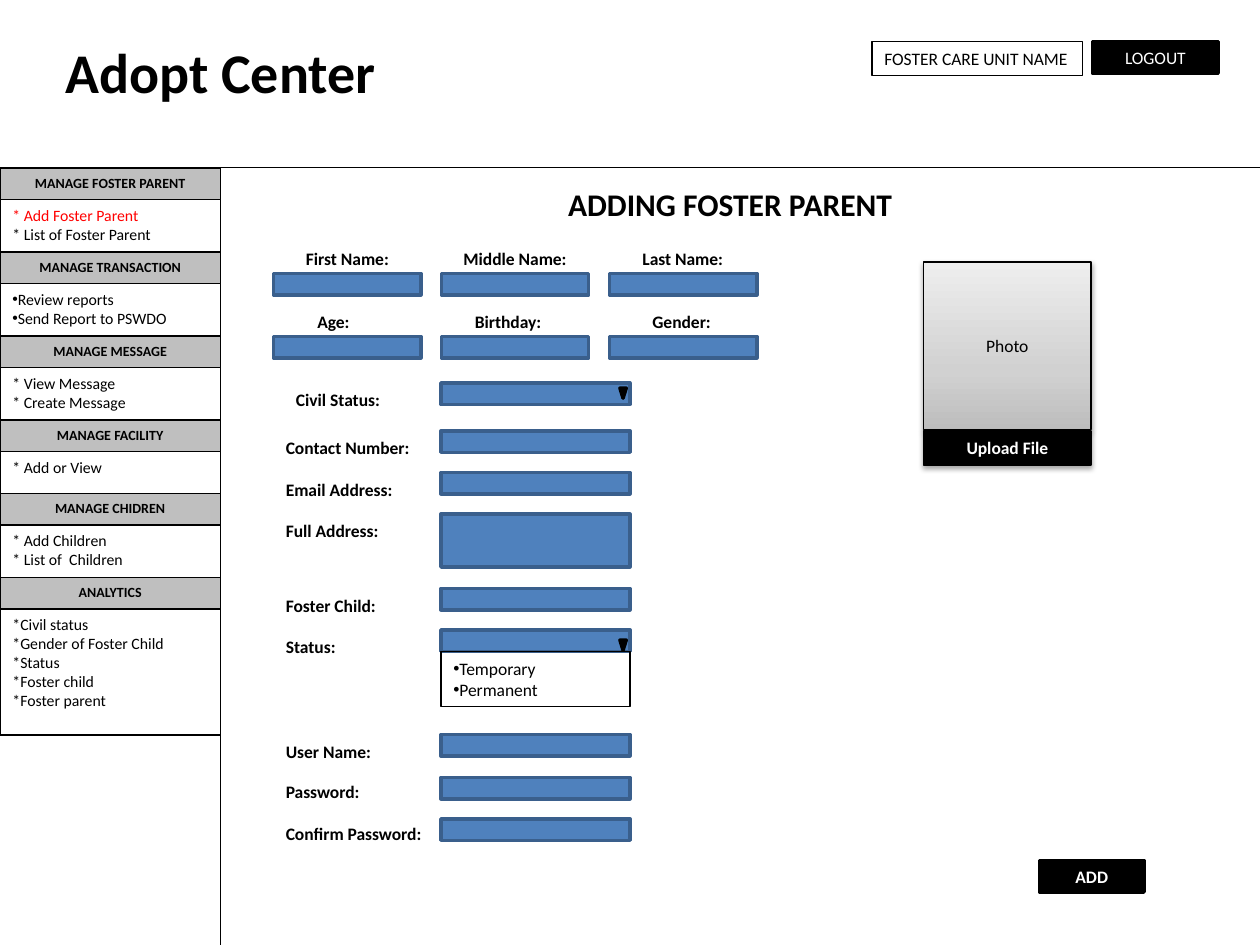
from copy import deepcopy
from dataclasses import dataclass

from pptx import Presentation
from pptx.dml.color import RGBColor
from pptx.enum.shapes import MSO_CONNECTOR, MSO_SHAPE
from pptx.enum.text import MSO_ANCHOR, PP_ALIGN
from pptx.oxml.ns import qn
from pptx.util import Inches, Pt
from lxml.etree import SubElement


@dataclass(frozen=True)
class Theme:
    font: str = "Calibri"
    black: str = "000000"
    white: str = "FFFFFF"
    active: str = "FF0000"
    header: str = "BFBFBF"
    field: str = "4F81BD"
    field_line: str = "3A5F8C"
    photo_stops: tuple = ((0, "BDBDBD"), (0.35, "D1D1D1"), (1, "EEEEEE"))
    title_size: float = 32
    heading_size: float = 18
    body_size: float = 10
    menu_size: float = 9
    menu_header_size: float = 8
    thin: float = 0.75
    thick: float = 2


THEME = Theme()

MENU = [
    ("MANAGE FOSTER PARENT", ["* Add Foster Parent", "* List of Foster Parent"], 5 / 12, False),
    ("MANAGE TRANSACTION", ["Review reports", "Send Report to PSWDO"], 5 / 12, True),
    ("MANAGE MESSAGE", ["* View Message", "* Create Message"], 5 / 12, False),
    ("MANAGE FACILITY", ["* Add or View"], 1 / 3, False),
    ("MANAGE CHIDREN", ["* Add Children", "* List of  Children"], 5 / 12, False),
    ("ANALYTICS", ["*Civil status", "*Gender of Foster Child", "*Status",
                   "*Foster child", "*Foster parent"], 1, False),
]
ACTIVE_ITEM = "* Add Foster Parent"

GRID_LABELS = [
    (1.92, [("First Name:", 2.33, 0.87), ("Middle Name:", 3.58, 1.03), ("Last Name:", 5, 0.85)]),
    (2.42, [("Age:", 2.42, 0.46), ("Birthday:", 3.67, 0.74), ("Gender:", 5.08, 0.67)]),
]

FORM_ROWS = [
    ("Civil Status:", 2.25, 3.04, 0.88, 3.04, 0.17),
    ("Contact Number:", 2.17, 3.42, 1.2, 3.42, 0.17),
    ("Email Address:", 2.17, 3.75, 1.06, 3.75, 0.17),
    ("Full Address:", 2.17, 4.08, 0.95, 4.08, 0.42),
    ("Foster Child:", 2.17, 4.67, 0.93, 4.67, 0.17),
    ("Status:", 2.17, 5, 0.61, 5, 0.17),
    ("User Name:", 2.17, 5.83, 0.88, 5.83, 0.17),
    ("Password:", 2.17, 6.15, 0.8, 6.17, 0.17),
    ("Confirm Password:", 2.17, 6.48, 1.3, 6.5, 0.17),
]


def color(value):
    return RGBColor.from_string(value)


def write(shape, lines, size, text_color=THEME.black, bold=False, align=PP_ALIGN.LEFT,
          anchor=MSO_ANCHOR.TOP, bullet=False, wrap=True):
    frame = shape.text_frame
    frame.word_wrap = wrap
    frame.vertical_anchor = anchor
    for index, line in enumerate(lines):
        paragraph = frame.paragraphs[0] if index == 0 else frame.add_paragraph()
        paragraph.alignment = align
        if bullet:
            properties = paragraph._p.get_or_add_pPr()
            SubElement(properties, qn("a:buFont"), typeface="Arial")
            SubElement(properties, qn("a:buChar"), char="•")
        run = paragraph.add_run()
        run.text = line
        run.font.name = THEME.font
        run.font.size = Pt(size)
        run.font.bold = bold
        run.font.color.rgb = color(THEME.active if line == ACTIVE_ITEM else text_color)


def add_box(slide, left, top, width, height, fill=None, line=THEME.black,
            weight=THEME.thin, kind=MSO_SHAPE.RECTANGLE):
    shape = slide.shapes.add_shape(kind, Inches(left), Inches(top), Inches(width), Inches(height))
    shape.shadow.inherit = False
    if fill:
        shape.fill.solid()
        shape.fill.fore_color.rgb = color(fill)
    else:
        shape.fill.background()
    shape.line.color.rgb = color(line)
    shape.line.width = Pt(weight)
    return shape


def add_text(slide, left, top, width, height, text, size, **options):
    shape = slide.shapes.add_textbox(Inches(left), Inches(top), Inches(width), Inches(height))
    write(shape, [text], size, bold=True, **options)


def add_label(slide, left, top, width, text):
    add_text(slide, left, top, width, 0.27, text, THEME.body_size, wrap=False)


def add_rule(slide, left, top, right, bottom):
    connector = slide.shapes.add_connector(
        MSO_CONNECTOR.STRAIGHT, Inches(left), Inches(top), Inches(right), Inches(bottom))
    connector.line.color.rgb = color(THEME.black)
    connector.line.width = Pt(THEME.thin)
    SubElement(connector._element.spPr, qn("a:effectLst"))


def add_field(slide, left, top, width, height=0.17):
    add_box(slide, left, top, width, height, THEME.field, THEME.field_line, THEME.thick)


def add_button(slide, left, top, width, text, bold=False):
    button = add_box(slide, left, top, width, 0.25, THEME.black, weight=THEME.thick)
    write(button, [text], THEME.body_size, THEME.white, bold, PP_ALIGN.CENTER, MSO_ANCHOR.MIDDLE)


def add_drop_arrow(slide, top):
    add_box(slide, 4.92, top, 0.05, 0.08, THEME.black, weight=THEME.thick,
            kind=MSO_SHAPE.FLOWCHART_MERGE)


def cast_shadow(shape, distance, opacity):
    effects = shape._element.spPr.find(qn("a:effectLst"))
    shadow = SubElement(effects, qn("a:outerShdw"), blurRad=str(Pt(3.1)),
                        dist=str(Pt(distance)), dir="5400000", rotWithShape="0")
    tint = SubElement(shadow, qn("a:srgbClr"), val=THEME.black)
    SubElement(tint, qn("a:alpha"), val=str(opacity * 1000))


def fill_gradient(shape, stops, angle):
    shape.fill.gradient()
    shape.fill.gradient_angle = angle
    stop_list = shape._element.spPr.find(qn("a:gradFill")).find(qn("a:gsLst"))
    stop_list.insert(1, deepcopy(stop_list[0]))
    for stop, (position, value) in zip(shape.fill.gradient_stops, stops):
        stop.position = position
        stop.color.rgb = color(value)


def add_menu(slide):
    top = 4 / 3
    for title, items, height, bullet in MENU:
        header = add_box(slide, 0, top, 1.75, 0.25, THEME.header)
        write(header, [title], THEME.menu_header_size, bold=True, align=PP_ALIGN.CENTER)
        panel = add_box(slide, 0, top + 0.25, 1.75, height, THEME.white)
        write(panel, items, THEME.menu_size, bullet=bullet)
        top += 0.25 + height


def add_form(slide):
    for top, labels in GRID_LABELS:
        for column, (text, left, width) in enumerate(labels):
            add_label(slide, left, top, width, text)
            add_field(slide, 2.17 + column * 4 / 3, top + 0.25, 1.17)
    for text, left, top, width, field_top, field_height in FORM_ROWS:
        add_label(slide, left, top, width, text)
        add_field(slide, 3.5, field_top, 1.5, field_height)
    for top in (3.08, 5.08):
        add_drop_arrow(slide, top)
    options = add_box(slide, 3.5, 5.17, 1.5, 0.44)
    write(options, ["Temporary", "Permanent"], THEME.body_size, bullet=True)


def add_photo(slide):
    photo = add_box(slide, 7.33, 2.08, 1.33, 1.33)
    fill_gradient(photo, THEME.photo_stops, 90)
    cast_shadow(photo, 1.6, 38)
    write(photo, ["Photo"], THEME.body_size, align=PP_ALIGN.CENTER, anchor=MSO_ANCHOR.MIDDLE)
    upload = add_box(slide, 7.33, 3.42, 1.33, 0.27, THEME.black)
    cast_shadow(upload, 1.8, 35)
    write(upload, ["Upload File"], THEME.body_size, THEME.white, True, PP_ALIGN.CENTER)


def main():
    presentation = Presentation()
    presentation.slide_width = Inches(10)
    presentation.slide_height = Inches(7.5)
    slide = presentation.slides.add_slide(presentation.slide_layouts[6])
    add_rule(slide, 1.75, 1.33, 1.75, 7.5)
    add_rule(slide, 0, 1.33, 10, 1.33)
    add_text(slide, 0.42, 0.25, 4.42, 0.64, "Adopt Center", THEME.title_size)
    add_button(slide, 8.67, 0.33, 1, "LOGOUT")
    unit_name = add_box(slide, 6.92, 0.33, 1.67, 0.27)
    write(unit_name, ["FOSTER CARE UNIT NAME"], THEME.body_size)
    add_text(slide, 4.17, 1.42, 3.25, 0.4, "ADDING FOSTER PARENT", THEME.heading_size,
             align=PP_ALIGN.CENTER)
    add_menu(slide)
    add_form(slide)
    add_photo(slide)
    add_button(slide, 8.25, 6.83, 0.83, "ADD", bold=True)
    presentation.save("out.pptx")


main()
